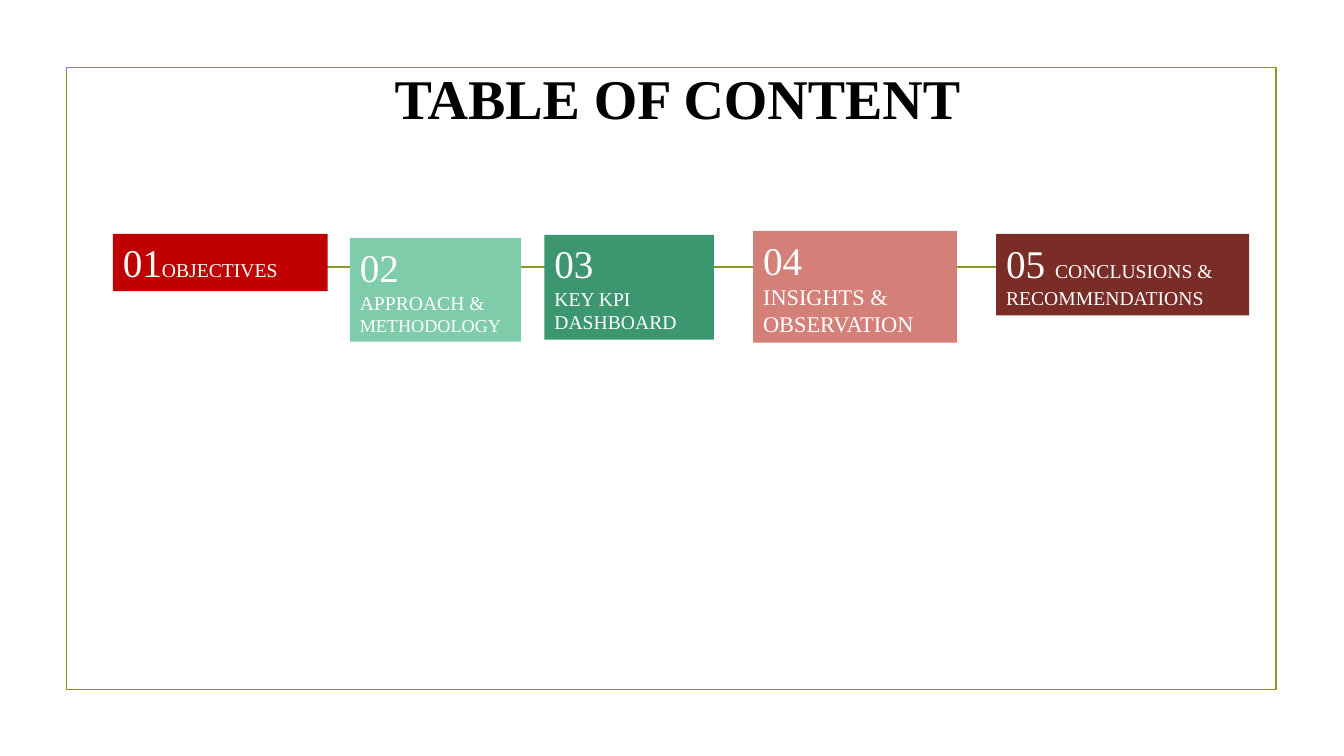
import pptx
import pptx.util
import pptx.dml.color
import pptx.enum.shapes
import pptx.enum.text
import pptx.oxml.ns
import lxml.etree

Inches = pptx.util.Inches
ALIGN = pptx.enum.text.PP_ALIGN
ANCHOR = pptx.enum.text.MSO_ANCHOR
RECTANGLE = pptx.enum.shapes.MSO_SHAPE.RECTANGLE
STRAIGHT = pptx.enum.shapes.MSO_CONNECTOR.STRAIGHT
FONT = "Times New Roman"
OLIVE = "83992A"
TIMELINE_TOP = 2.65

SECTIONS = [
    (1.12, -0.33, 2.13, 0.57, "C00000", ANCHOR.TOP,
     [[("01", 28), ("OBJECTIVES", 14)]]),
    (3.47, -0.29, 1.7, 1.03, "7FCCAB", ANCHOR.MIDDLE,
     [[("02", 28)], [("APPROACH & ", 14), ("METHODOLOGY", 13)]]),
    (5.4, -0.32, 1.68, 1.04, "3C9770", ANCHOR.TOP,
     [[("03\n", 28), ("KEY KPI DASHBOARD", 14)]]),
    (7.47, -0.36, 2.02, 1.11, "D47F77", ANCHOR.TOP,
     [[("04\n", 28), ("INSIGHTS & OBSERVATION", 16)]]),
    (9.88, -0.33, 2.51, 0.81, "7A2D26", ANCHOR.TOP,
     [[("05 ", 28), ("CONCLUSIONS &\nRECOMMENDATIONS", 14)]]),
]


def color(value):
    return pptx.dml.color.RGBColor.from_string(value)


def add_text(para, text, size=14, fill="FFFFFF", bold=False):
    for index, part in enumerate(text.split("\n")):
        if index:
            para.add_line_break()
        if part:
            span = para.add_run()
            span.text = part
            span.font.name = FONT
            span.font.size = pptx.util.Pt(size)
            span.font.bold = bold
            span.font.color.rgb = color(fill)


def set_outline(shape):
    shape.line.color.rgb = color(OLIVE)
    shape.line.width = pptx.util.Pt(1.25)


def add_rectangle(page, left, top, width, height):
    box = page.shapes.add_shape(
        RECTANGLE, Inches(left), Inches(top), Inches(width), Inches(height))
    box.shadow.inherit = False
    return box


def add_frame(page, left, top, width, height):
    frame = add_rectangle(page, left, top, width, height)
    frame.fill.background()
    set_outline(frame)


def add_title(page, left, top, width, height):
    title = page.shapes.title
    title.left, title.top = Inches(left), Inches(top)
    title.width, title.height = Inches(width), Inches(height)
    title.text_frame.word_wrap = True
    title.text_frame.auto_size = pptx.enum.text.MSO_AUTO_SIZE.NONE
    title.text_frame.vertical_anchor = ANCHOR.TOP
    para = title.text_frame.paragraphs[0]
    para.alignment = ALIGN.CENTER
    add_text(para, "TABLE OF CONTENT", size=40, fill="000000", bold=True)


def add_section(page, left, top, width, height, fill, anchor, paragraphs):
    box = add_rectangle(page, left, top, width, height)
    box.fill.solid()
    box.fill.fore_color.rgb = color(fill)
    box.line.fill.background()
    frame = box.text_frame
    frame.word_wrap = True
    frame.vertical_anchor = anchor
    for index, spans in enumerate(paragraphs):
        para = frame.add_paragraph() if index else frame.paragraphs[0]
        para.alignment = ALIGN.LEFT
        for text, size in spans:
            add_text(para, text, size=size)


def add_timeline(page, left, top, width):
    line = page.shapes.add_connector(
        STRAIGHT, Inches(left), Inches(top), Inches(left + width), Inches(top))
    set_outline(line)
    properties = line._element.spPr
    lxml.etree.SubElement(properties, pptx.oxml.ns.qn("a:effectLst"))
    for section_left, offset, *details in SECTIONS:
        add_section(page, section_left, top + offset, *details)


def main():
    deck = pptx.Presentation()
    deck.slide_width, deck.slide_height = Inches(13.33), Inches(7.5)
    page = deck.slides.add_slide(deck.slide_layouts[5])
    add_frame(page, 0.66, 0.67, 12, 6.17)
    add_title(page, 2.91, 0.58, 7.62, 0.77)
    add_timeline(page, 1.53, TIMELINE_TOP, 10.28)
    deck.save("out.pptx")


if __name__ == "__main__":
    main()
